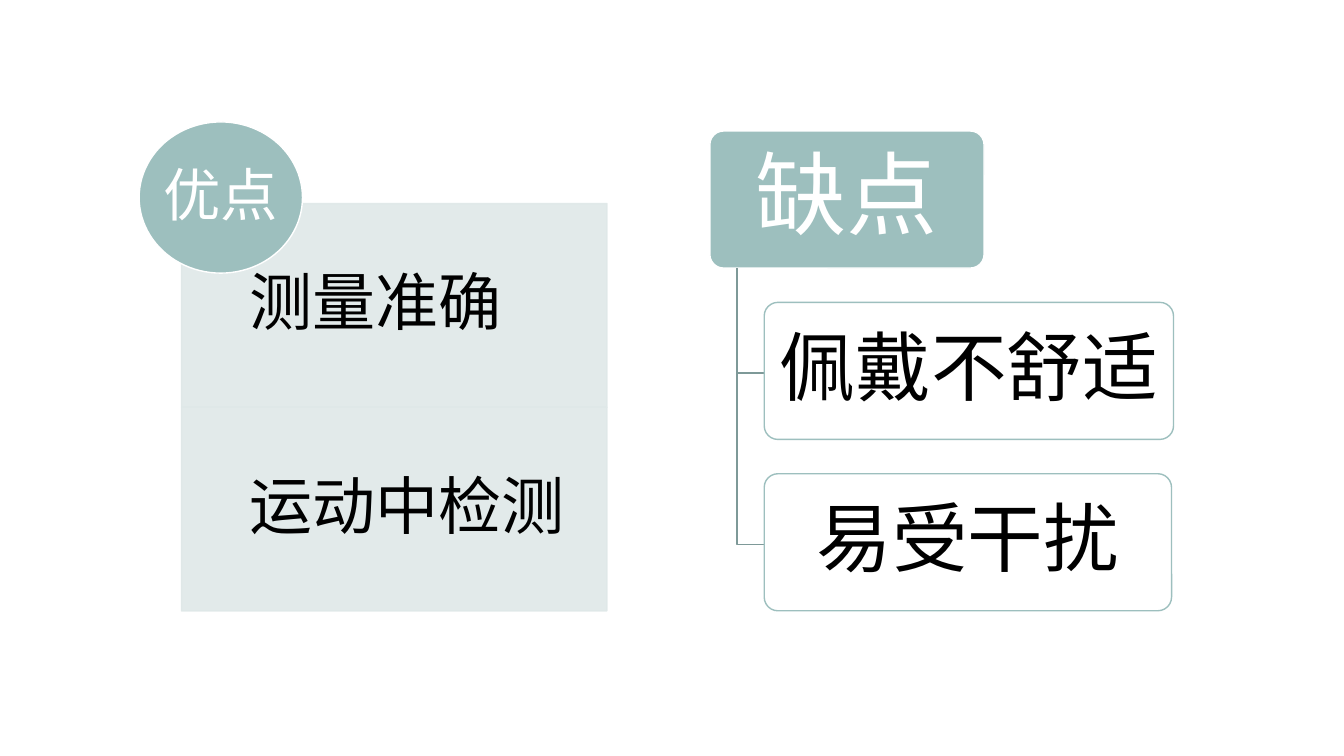
import pptx
import pptx.util
import pptx.dml.color
import pptx.enum.shapes
import pptx.enum.text
import pptx.oxml
import pptx.oxml.ns

Inches = pptx.util.Inches
Pt = pptx.util.Pt
KIND = pptx.enum.shapes.MSO_SHAPE
ALIGN = pptx.enum.text.PP_ALIGN

TEAL, PALE, DARK = "9DBFBE", "DFE8E8", "7E9998"
WHITE, BLACK = "FFFFFF", "000000"


def paint(form, color, alpha=100):
    """Give a fill or a line a solid colour, with alpha in percent."""
    form.solid()
    form.fore_color.rgb = pptx.dml.color.RGBColor.from_string(color)
    if alpha < 100:
        node = form.fore_color._xFill.find(pptx.oxml.ns.qn("a:srgbClr"))
        node.append(pptx.oxml.parse_xml(
            f'<a:alpha {pptx.oxml.ns.nsdecls("a")} val="{alpha * 1000}"/>'))


def write(shape, text, size, color, align=ALIGN.CENTER, insets=(0, 0, 0, 0)):
    frame = shape.text_frame
    frame.word_wrap = True
    frame.vertical_anchor = pptx.enum.text.MSO_ANCHOR.MIDDLE
    (frame.margin_left, frame.margin_top,
     frame.margin_right, frame.margin_bottom) = map(Inches, insets)
    para = frame.paragraphs[0]
    para.alignment = align
    para.line_spacing = 0.9
    run = para.add_run()
    run.text = text
    run.font.name = "Arial"
    run.font.size = Pt(size)
    paint(run.font.fill, color)


def block(group, kind, box, fill, line, alpha=100, edge=100):
    shape = group.shapes.add_shape(kind, *map(Inches, box))
    shape.shadow.inherit = False
    paint(shape.fill, fill, alpha)
    paint(shape.line.fill, line, edge)
    shape.line.width = Pt(1)
    if kind == KIND.ROUNDED_RECTANGLE:
        shape.adjustments[0] = 0.1
    return shape


def elbow(group, left, top, width, height):
    """Draw a line down and then right, across the given box."""
    draw = group.shapes.build_freeform(Inches(left), Inches(top))
    draw.add_line_segments([(Inches(left), Inches(top + height)),
                            (Inches(left + width), Inches(top + height))],
                           close=False)
    shape = draw.convert_to_shape()
    shape.shadow.inherit = False
    shape.fill.background()
    paint(shape.line.fill, DARK)
    shape.line.width = Pt(1)


def pros(slide, left, top, items):
    """Stack pale panels under a round title."""
    group = slide.shapes.add_group_shape()
    width, height = 4.22, 2.02
    for row, text in enumerate(items):
        box = (left + 0.42, top + 0.81 + row * height, width, height)
        panel = block(group, KIND.RECTANGLE, box, PALE, PALE, 90, 90)
        write(panel, text, 45, BLACK, ALIGN.LEFT, (0.67, 0.35, 0.35, 0.35))
    badge = block(group, KIND.OVAL, (left, top, 1.62, 1.5), TEAL, WHITE)
    write(badge, "优点", 41, WHITE)


def cons(slide, left, top, items):
    """Hang outlined cards from a title block."""
    group = slide.shapes.add_group_shape()
    height, step, indent = 1.36, 1.7, 0.27
    head = block(group, KIND.ROUNDED_RECTANGLE,
                 (left, top, 2 * height, height), TEAL, WHITE)
    write(head, "缺点", 65, WHITE)
    for row, (text, width) in enumerate(items, 1):
        drop = row * step - height / 2
        elbow(group, left + indent, top + height, indent, drop + 0.02)
        card = block(group, KIND.ROUNDED_RECTANGLE,
                     (left + 2 * indent, top + row * step, width, height),
                     WHITE, TEAL, 90)
        write(card, text, 54, BLACK)


def main():
    deck = pptx.Presentation()
    deck.slide_width, deck.slide_height = Inches(13.33), Inches(7.5)
    slide = deck.slides.add_slide(deck.slide_layouts[6])
    pros(slide, 1.38, 1.21, ["测量准确", "运动中检测"])
    cons(slide, 7.04, 1.3, [("佩戴不舒适", 4.06), ("易受干扰", 4.04)])
    deck.save("out.pptx")


if __name__ == "__main__":
    main()
